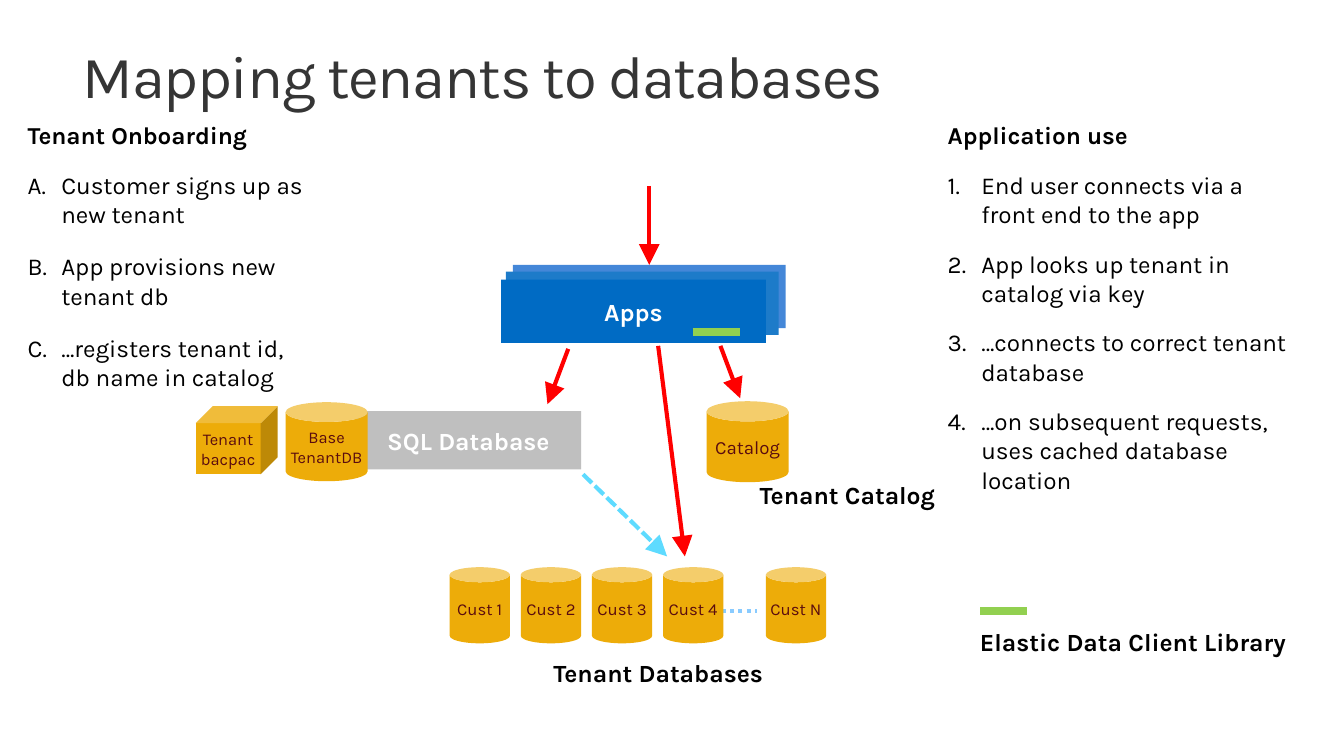
from dataclasses import dataclass
from typing import Optional

from lxml import etree
from pptx import Presentation
from pptx.dml.color import RGBColor
from pptx.enum.dml import MSO_LINE
from pptx.enum.shapes import MSO_CONNECTOR, MSO_SHAPE
from pptx.enum.text import MSO_ANCHOR, MSO_AUTO_SIZE, PP_ALIGN
from pptx.oxml.ns import qn
from pptx.util import Inches, Pt

RECTANGLE, CAN, CUBE = MSO_SHAPE.RECTANGLE, MSO_SHAPE.CAN, MSO_SHAPE.CUBE
STRAIGHT = MSO_CONNECTOR.STRAIGHT
DOTS, DASHES = MSO_LINE.ROUND_DOT, MSO_LINE.SQUARE_DOT
TOP, MIDDLE = MSO_ANCHOR.TOP, MSO_ANCHOR.MIDDLE
LEFT, CENTER = PP_ALIGN.LEFT, PP_ALIGN.CENTER
FIXED = MSO_AUTO_SIZE.NONE
COMPARISON_LAYOUT = 4
TOP_SITE = 0

FONT = "Karla"
BLACK, WHITE, BROWN = "000000", "FFFFFF", "5A0C0F"
GOLD, RED, GREEN = "EDAC09", "FF0000", "92D050"


@dataclass
class Block:
    left: float
    top: float
    width: float
    height: float
    fill: str = GOLD
    text: str = ""
    size: float = 12
    color: str = BROWN
    bold: bool = False
    kind: MSO_SHAPE = CAN
    inset: float = 0


@dataclass
class Line:
    x1: float
    y1: float
    x2: float
    y2: float
    color: str = RED
    width: float = 3
    dash: Optional[MSO_LINE] = None
    arrow: bool = True


@dataclass
class Label:
    text: str
    left: float
    top: float
    width: float


@dataclass
class Steps:
    heading: str
    items: list[str]
    numbering: str
    left: float
    width: float
    gap: float
    heading_index: int


APPS = [
    Block(5.19, 2.68, 2.76, 0.64, "4487D8", kind=RECTANGLE),
    Block(5.12, 2.75, 2.76, 0.64, "1D7BC9", kind=RECTANGLE),
    Block(5.07, 2.83, 2.68, 0.64, "006BC4", "Apps", 18, WHITE, True, RECTANGLE, 0.1),
]
SQL_DATABASE = Block(3.6, 4.16, 2.28, 0.59, "BFBFBF", "SQL Database", 18, WHITE, True,
                     RECTANGLE, 0.1)
USER_ARROW = Line(6.57, 1.88, 6.57, 2.68)
LINES = [
    Line(7.29, 3.5, 7.49, 4.03),
    Line(5.75, 3.53, 5.54, 4.09),
    Line(6.66, 3.5, 6.93, 5.63),
    Line(5.9, 4.8, 6.75, 5.63, "5EDBFF", dash=DASHES),
    Line(6.72, 6.18, 7.66, 6.18, "89CBFF", dash=DOTS, arrow=False),
    Line(7.01, 3.36, 7.49, 3.36, GREEN, 6, arrow=False),
    Line(9.92, 6.18, 10.39, 6.18, GREEN, 6, arrow=False),
]
STORES = [
    Block(7.15, 4.06, 0.83, 0.82, text="Catalog", size=13.6),
    Block(2.89, 4.07, 0.83, 0.8, text="Base\nTenantDB"),
    Block(1.98, 4.11, 0.83, 0.69, text="Tenant\nbacpac", kind=CUBE),
]
CUSTOMERS = [(f"Cust {number + 1}", 4.55 + 0.72 * number) for number in range(4)]
CUSTOMERS.append(("Cust N", 7.75))
LABELS = [
    Label("Tenant Databases", 5.1, 6.61, 3.12),
    Label("Tenant Catalog", 7.52, 4.81, 2.11),
    Label("Elastic Data Client Library", 9.75, 6.29, 3.43),
]
COLUMNS = [
    Steps("Tenant Onboarding", [
        "Customer signs up as new tenant",
        "App provisions new tenant db",
        "…registers tenant id, db name in catalog",
    ], "alphaUcPeriod", 0.18, 3.03, 17, 1),
    Steps("Application use", [
        "End user connects via a front end to the app",
        "App looks up tenant in catalog via key",
        "…connects to correct tenant database",
        "…on subsequent requests, uses cached database location",
    ], "arabicPeriod", 9.49, 3.71, 15, 3),
]


def rgb(value: str) -> RGBColor:
    return RGBColor.from_string(value)


def style(para, size: float, color: str, bold: bool = False, align=LEFT) -> None:
    para.alignment = align
    font = para.font
    font.name, font.size, font.bold = FONT, Pt(size), bold
    font.color.rgb = rgb(color)


def place(box, left: float, top: float, width: float, height: float) -> None:
    box.left, box.top = Inches(left), Inches(top)
    box.width, box.height = Inches(width), Inches(height)


def prepare_frame(box, anchor, inset_x: float, inset_y: float):
    frame = box.text_frame
    frame.word_wrap = True
    frame.auto_size = FIXED
    frame.vertical_anchor = anchor
    frame.margin_left = frame.margin_right = Inches(inset_x)
    frame.margin_top = frame.margin_bottom = Inches(inset_y)
    return frame


def draw_block(page, block: Block):
    box = page.shapes.add_shape(block.kind, 0, 0, 0, 0)
    place(box, block.left, block.top, block.width, block.height)
    box.shadow.inherit = False
    box.fill.solid()
    box.fill.fore_color.rgb = rgb(block.fill)
    box.line.fill.background()
    if block.text:
        para = prepare_frame(box, MIDDLE, block.inset, block.inset / 2).paragraphs[0]
        para.text = block.text
        style(para, block.size, block.color, block.bold, CENTER)
    return box


def draw_line(page, line: Line):
    ends = [Inches(value) for value in (line.x1, line.y1, line.x2, line.y2)]
    connector = page.shapes.add_connector(STRAIGHT, *ends)
    connector.line.color.rgb = rgb(line.color)
    connector.line.width = Pt(line.width)
    if line.dash is not None:
        connector.line.dash_style = line.dash
    properties = connector._element.spPr
    if line.arrow:
        etree.SubElement(properties.find(qn("a:ln")), qn("a:tailEnd"),
                         type="triangle", w="lg", len="lg")
    etree.SubElement(properties, qn("a:effectLst"))
    return connector


def draw_label(page, label: Label) -> None:
    box = page.shapes.add_textbox(0, 0, 0, 0)
    place(box, label.left, label.top, label.width, 0.4)
    para = prepare_frame(box, TOP, 0.1, 0.05).paragraphs[0]
    para.text = label.text
    style(para, 18, BLACK, True, CENTER)


def fill_title(page, text: str) -> None:
    title = page.shapes.title
    place(title, 0.68, 0.37, 12.92, 0.91)
    para = prepare_frame(title, TOP, 0.16, 0.1).paragraphs[0]
    para.text = text
    para.line_spacing = 0.9
    style(para, 43.5, "353535")
    para.runs[0]._r.get_or_add_rPr().set("spc", "-100")


def fill_steps(page, steps: Steps) -> None:
    holders = {holder.placeholder_format.idx: holder for holder in page.placeholders}
    heading, body = holders[steps.heading_index], holders[steps.heading_index + 1]
    place(heading, steps.left, 1.17, steps.width, 0.4)
    para = prepare_frame(heading, TOP, 0.1, 0.05).paragraphs[0]
    para.text = steps.heading
    para.space_before = Pt(0)
    style(para, 17.7, BLACK, True)

    place(body, steps.left, 1.67, steps.width, 0.82 * len(steps.items))
    frame = prepare_frame(body, TOP, 0.1, 0.05)
    for number, item in enumerate(steps.items):
        para = frame.add_paragraph() if number else frame.paragraphs[0]
        para.text = item
        properties = para._p.get_or_add_pPr()
        properties.set("marL", str(Inches(0.34)))
        properties.set("indent", str(-Inches(0.34)))
        etree.SubElement(properties, qn("a:buFontTx"))
        etree.SubElement(properties, qn("a:buAutoNum"), type=steps.numbering)
        para.space_before = Pt(steps.gap if number else 0)
        style(para, 17.7, BLACK)


def main() -> None:
    deck = Presentation()
    deck.slide_width, deck.slide_height = Inches(13.6), Inches(7.65)
    page = deck.slides.add_slide(deck.slide_layouts[COMPARISON_LAYOUT])
    fill_title(page, "Mapping tenants to databases")
    for steps in COLUMNS:
        fill_steps(page, steps)
    apps = [draw_block(page, block) for block in APPS]
    draw_block(page, SQL_DATABASE)
    draw_line(page, USER_ARROW).end_connect(apps[0], TOP_SITE)
    for line in LINES:
        draw_line(page, line)
    for store in STORES:
        draw_block(page, store)
    for name, left in CUSTOMERS:
        draw_block(page, Block(left, 5.74, 0.61, 0.77, text=name, size=12.2))
    for label in LABELS:
        draw_label(page, label)
    deck.save("out.pptx")


if __name__ == "__main__":
    main()
